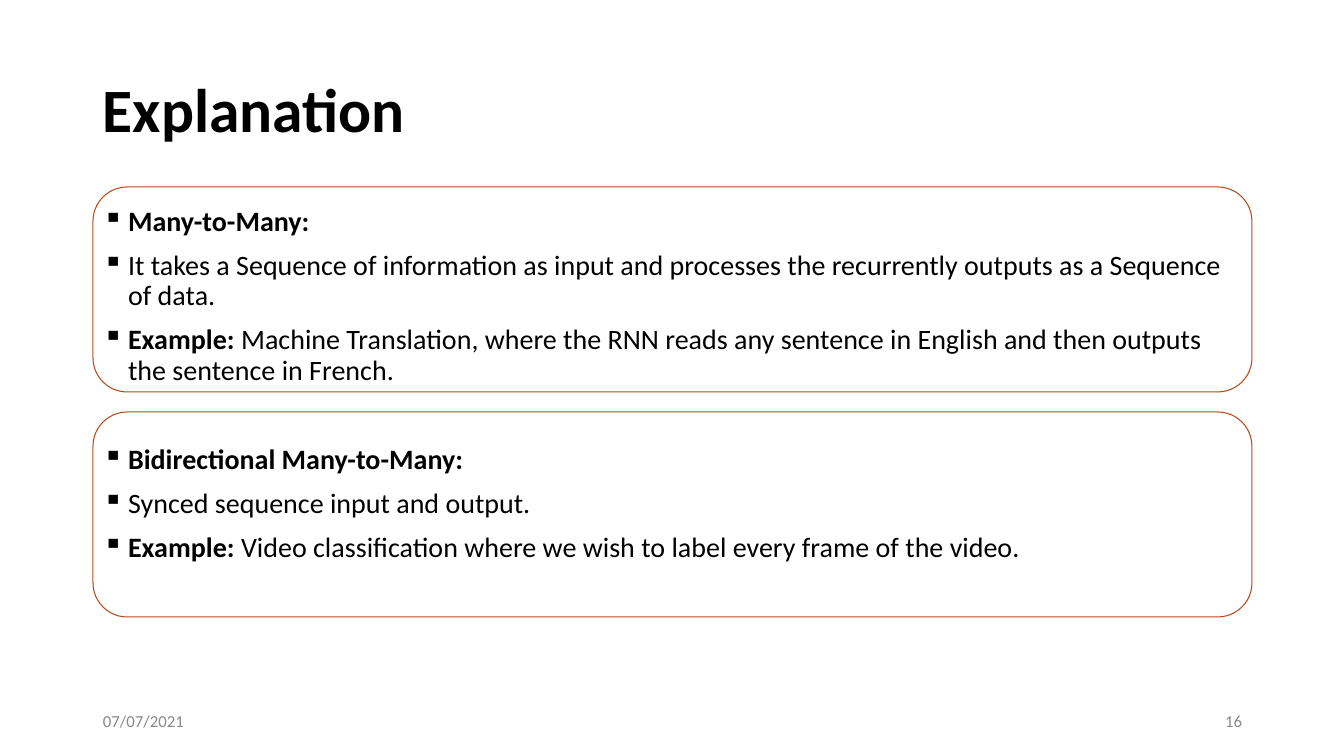
from lxml import etree
from pptx import Presentation
from pptx import util as u
from pptx.dml import color
from pptx.enum import shapes, text
from pptx.oxml import ns

SCALE = 914400 / 100.8


def rgb(value):
    return color.RGBColor.from_string(value)


def add_text(slide, box, paragraphs, size, hue="000000", bullet=None, line_spacing=None,
             anchor=text.MSO_ANCHOR.MIDDLE, align=text.PP_ALIGN.LEFT):
    frame = slide.shapes.add_textbox(*[round(v * SCALE) for v in box]).text_frame
    frame.word_wrap = True
    frame.vertical_anchor = anchor
    for index, (space_before, runs) in enumerate(paragraphs):
        paragraph = frame.paragraphs[0] if index == 0 else frame.add_paragraph()
        if bullet:
            properties = paragraph._p.get_or_add_pPr()
            properties.set("marL", str(u.Inches(0.25)))
            properties.set("indent", str(-u.Inches(0.25)))
            bullet_color = etree.SubElement(properties, ns.qn("a:buClr"))
            etree.SubElement(bullet_color, ns.qn("a:srgbClr"), val=hue)
            etree.SubElement(properties, ns.qn("a:buChar"), char=bullet)
        paragraph.alignment = align
        if line_spacing:
            paragraph.line_spacing = line_spacing
        if space_before:
            paragraph.space_before = u.Pt(space_before)
        for words, bold in runs:
            run = paragraph.add_run()
            run.text = words
            run.font.name = "Calibri"
            run.font.size = u.Pt(size)
            run.font.bold = bold
            run.font.color.rgb = rgb(hue)


presentation = Presentation()
presentation.slide_width = round(1344 * SCALE)
presentation.slide_height = round(756 * SCALE)
slide = presentation.slides.add_slide(presentation.slide_layouts[6])

LEFT, WIDTH = 93, 1159

add_text(slide, (LEFT, 40, WIDTH, 146), [(0, [("Explanation", True)])], 44, line_spacing=0.9)

explanations = [
    (0, [("Many-to-Many:", True)]),
    (10, [("It takes a Sequence of information as input and processes the recurrently "
           "outputs as a Sequence of data.", False)]),
    (10, [("Example:", True),
          (" Machine Translation, where the RNN reads any sentence in English and then "
           "outputs the sentence in French.", False)]),
    (42, [("Bidirectional Many-to-Many:", True)]),
    (10, [("Synced sequence input and output.", False)]),
    (10, [("Example:", True),
          (" Video classification where we wish to label every frame of the video.", False)]),
]
add_text(slide, (LEFT, 202, WIDTH, 480), explanations, 20, bullet="▪", line_spacing=0.9,
         anchor=text.MSO_ANCHOR.TOP)

for left, words, align in [(LEFT, "07/07/2021", text.PP_ALIGN.LEFT),
                           (950, "16", text.PP_ALIGN.RIGHT)]:
    add_text(slide, (left, 701, 302, 40), [(0, [(words, False)])], 12, hue="888888", align=align)

for top in (187, 412):
    frame_box = [round(v * SCALE) for v in (LEFT, top, WIDTH, 205)]
    shape = slide.shapes.add_shape(shapes.MSO_SHAPE.ROUNDED_RECTANGLE, *frame_box)
    shape.shadow.inherit = False
    shape.fill.background()
    shape.line.color.rgb = rgb("B74919")
    shape.line.width = u.Pt(0.75)

presentation.save("out.pptx")
